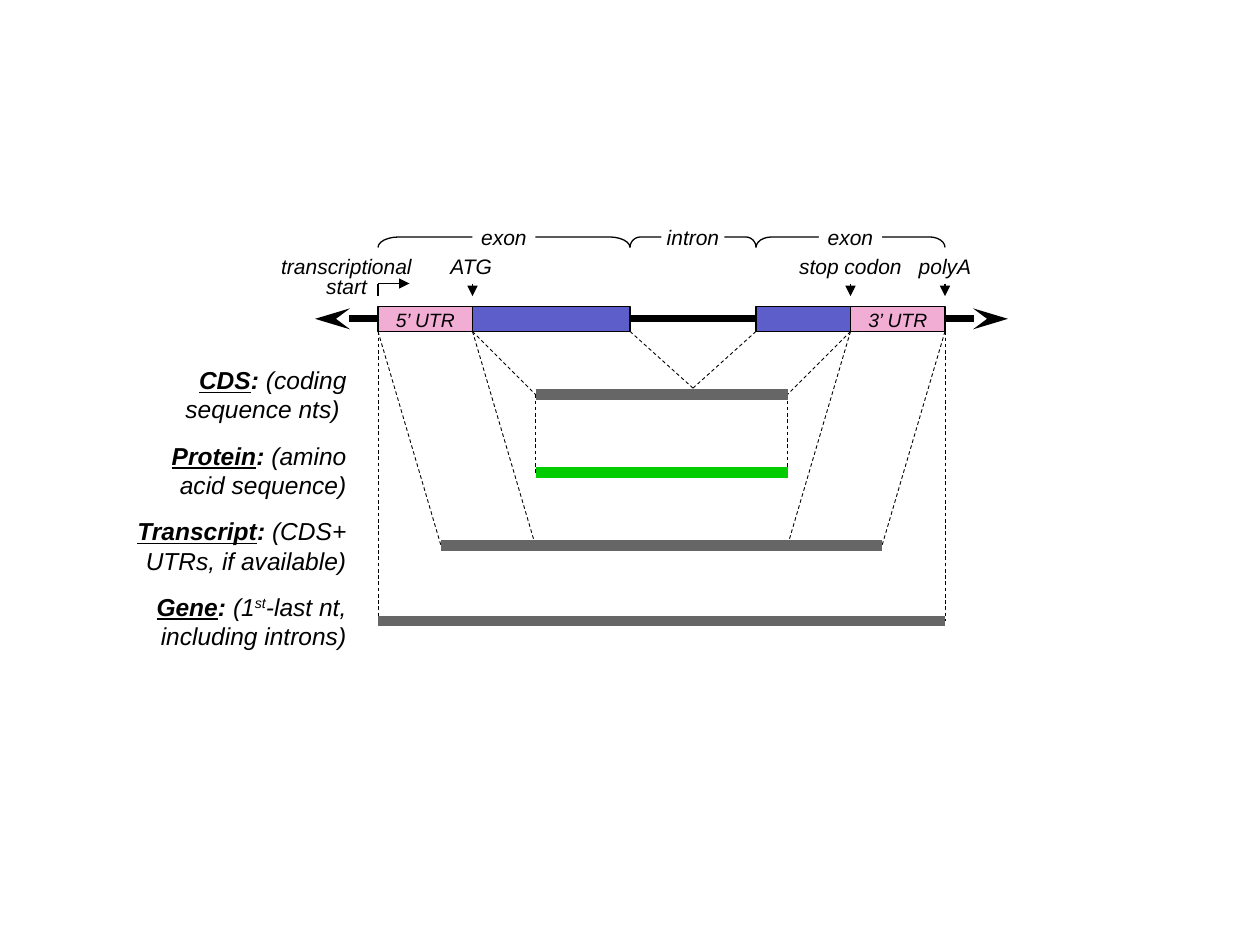
import pptx
import pptx.util
import pptx.dml.color
import pptx.enum.dml
import pptx.enum.shapes
import pptx.enum.text
from lxml import etree

Pt = pptx.util.Pt
SHAPES = pptx.enum.shapes.MSO_SHAPE
ALIGN = pptx.enum.text.PP_ALIGN
ANCHOR = pptx.enum.text.MSO_ANCHOR
COLORS = {"ink": "000000", "utr": "F1ADD4", "coding": "5E5ECA",
          "bar": "666666", "protein": "00CC00", "paper": "FFFFFF"}

START, ATG, DONOR, ACCEPTOR, STOP, END = 216, 270, 360, 432, 486, 540
AXIS, HALF = 182.2, 7.2
BASE = AXIS + HALF
CDS_Y, PROTEIN_Y, TRANSCRIPT_Y, GENE_Y = 225.4, 270, 311.8, 355
CDS, TRANSCRIPT = (306, 450), (252, 504)
FOLD = (396, 221.8)

SEGMENTS = [(START, ATG, "utr"), (ATG, DONOR, "coding"),
            (ACCEPTOR, STOP, "coding"), (STOP, END, "utr")]
UTR_NAMES = [(START, ATG, "5’ UTR"), (STOP, END, "3’ UTR")]
FOLD_GUIDES = [(DONOR, BASE, *FOLD), (ACCEPTOR, BASE, *FOLD)]
GUIDES = [
    (ATG, BASE, CDS[0], CDS_Y), (STOP, BASE, CDS[1], CDS_Y),
    (STOP, BASE, CDS[1], TRANSCRIPT_Y), (ATG, BASE, CDS[0], TRANSCRIPT_Y),
    (END, BASE, TRANSCRIPT[1], TRANSCRIPT_Y), (START, BASE, TRANSCRIPT[0], TRANSCRIPT_Y),
    (START, BASE, START, GENE_Y), (END, BASE, END, GENE_Y),
    (CDS[0], CDS_Y, CDS[0], PROTEIN_Y), (CDS[1], CDS_Y, CDS[1], PROTEIN_Y),
]
BARS = [(*CDS, CDS_Y, "bar"), (*CDS, PROTEIN_Y, "protein"),
        (*TRANSCRIPT, TRANSCRIPT_Y, "bar"), (START, END, GENE_Y, "bar")]
BRACES = [(START, DONOR, 288, "exon"), (ACCEPTOR, END, 486, "exon"),
          (DONOR, ACCEPTOR, 396, "intron")]
MARKS = [(153, 90, ["transcriptional", "start"]), (251.3, 36, ["ATG"]),
         (450, 72, ["stop codon"]), (522, 36, ["polyA"])]
LABELS = [
    ("CDS", ["(coding"], "sequence nts) "),
    ("Protein", ["(amino"], "acid sequence)"),
    ("Transcript", ["(CDS+"], "UTRs, if available)"),
    ("Gene", ["(1", "st", "-last nt,"], "including introns)"),
]
LABEL_TOP, LABEL_PITCH = 218.2, 43.2
MARK_TOP, MARK_TIP = 162, 169.2


def rgb(name):
    return pptx.dml.color.RGBColor.from_string(COLORS[name])


def apply(target, formats):
    for name, value in formats.items():
        setattr(target, name, value)


def add_line(page, x1, y1, x2, y2, width=0.75, color="ink", dashed=False, ends=None):
    line = page.shapes.add_connector(pptx.enum.shapes.MSO_CONNECTOR.STRAIGHT,
                                     Pt(x1), Pt(y1), Pt(x2), Pt(y2))
    line.line.color.rgb = rgb(color)
    line.line.width = Pt(width)
    if dashed:
        line.line.dash_style = pptx.enum.dml.MSO_LINE.DASH
    namespace = "{http://schemas.openxmlformats.org/drawingml/2006/main}"
    for tag, (kind, length) in (ends or {}).items():
        etree.SubElement(line.line._get_or_add_ln(), namespace + tag,
                         type=kind, w="med", len=length)
    etree.SubElement(line._element.spPr, namespace + "effectLst")


def add_shape(page, kind, left, top, width, height, fill=None, outlined=True):
    shape = page.shapes.add_shape(kind, Pt(left), Pt(top), Pt(width), Pt(height))
    shape.shadow.inherit = False
    if fill:
        shape.fill.solid()
        shape.fill.fore_color.rgb = rgb(fill)
    else:
        shape.fill.background()
    if outlined:
        shape.line.color.rgb = rgb("ink")
        shape.line.width = Pt(0.75)
    else:
        shape.line.fill.background()
    return shape


def add_box(page, left, top, width, height):
    return page.shapes.add_textbox(Pt(left), Pt(top), Pt(width), Pt(height))


def write(box, lines, size, align=ALIGN.CENTER, anchor=ANCHOR.TOP, spacing=None):
    frame = box.text_frame
    apply(frame, {"margin_left": 0, "margin_right": 0, "margin_top": 0,
                  "margin_bottom": 0, "word_wrap": True, "vertical_anchor": anchor})
    for index, spans in enumerate(lines):
        para = frame.add_paragraph() if index else frame.paragraphs[0]
        apply(para, {"alignment": align, "line_spacing": spacing})
        for text, formats in spans:
            span = para.add_run()
            span.text = text
            apply(span.font, {"name": "Arial", "size": Pt(size), "italic": True, **formats})
            span.font.color.rgb = rgb("ink")
            if text == "st":
                span.font._element.set("baseline", "30000")


def plain(*texts):
    return [[(text, {})] for text in texts]


def draw_gene(page):
    for guide in FOLD_GUIDES:
        add_line(page, *guide, width=0.5, dashed=True)
    add_line(page, 180, AXIS, 576, AXIS, width=4,
             ends={"headEnd": ("stealth", "lg"), "tailEnd": ("stealth", "lg")})
    for left, right, color in SEGMENTS:
        add_shape(page, SHAPES.RECTANGLE, left, AXIS - HALF, right - left, 2 * HALF, color)
    for left, right, name in UTR_NAMES:
        write(add_box(page, left, 176.4, right - left, 13.7), plain(name), 11)


def draw_products(page):
    for guide in GUIDES:
        add_line(page, *guide, width=0.5, dashed=True)
    for left, right, y, color in BARS:
        add_line(page, left, y, right, y, width=6, color=color)
    for row, (name, details, second_line) in enumerate(LABELS):
        first_line = [(name, {"bold": True, "underline": True}), (": ", {"bold": True})]
        first_line += [(text, {}) for text in details]
        write(add_box(page, 54, LABEL_TOP + row * LABEL_PITCH, 144, 14.4),
              [first_line, *plain(second_line)], 14, ALIGN.RIGHT, ANCHOR.MIDDLE)


def draw_annotations(page):
    depth, middle = 12, 135.4
    for left, right, _, _ in BRACES:
        length = right - left
        brace = add_shape(page, SHAPES.LEFT_BRACE, (left + right - depth) / 2,
                          middle - length / 2, depth, length)
        brace.rotation = 90
        brace.adjustments[0] = length / 144
    for _, _, center, name in BRACES:
        plate = add_shape(page, SHAPES.RECTANGLE, center - 18, 128.2, 36, 14.4, "paper", False)
        write(plate, plain(name), 12)
    for left, width, lines in MARKS:
        write(add_box(page, left, 147.6, width, 14.4), plain(*lines), 12, spacing=0.8)
    arrow = {"tailEnd": ("triangle", "med")}
    for x in (ATG, STOP, END):
        add_line(page, x, MARK_TOP, x, MARK_TIP, ends=arrow)
    add_line(page, START, MARK_TOP, START, MARK_TIP)
    add_line(page, START, MARK_TOP, START + 18, MARK_TOP, ends=arrow)


def main():
    deck = pptx.Presentation()
    apply(deck, {"slide_width": Pt(720), "slide_height": Pt(540)})
    page = deck.slides.add_slide(deck.slide_layouts[6])
    draw_gene(page)
    draw_products(page)
    draw_annotations(page)
    deck.save("out.pptx")


if __name__ == "__main__":
    main()
